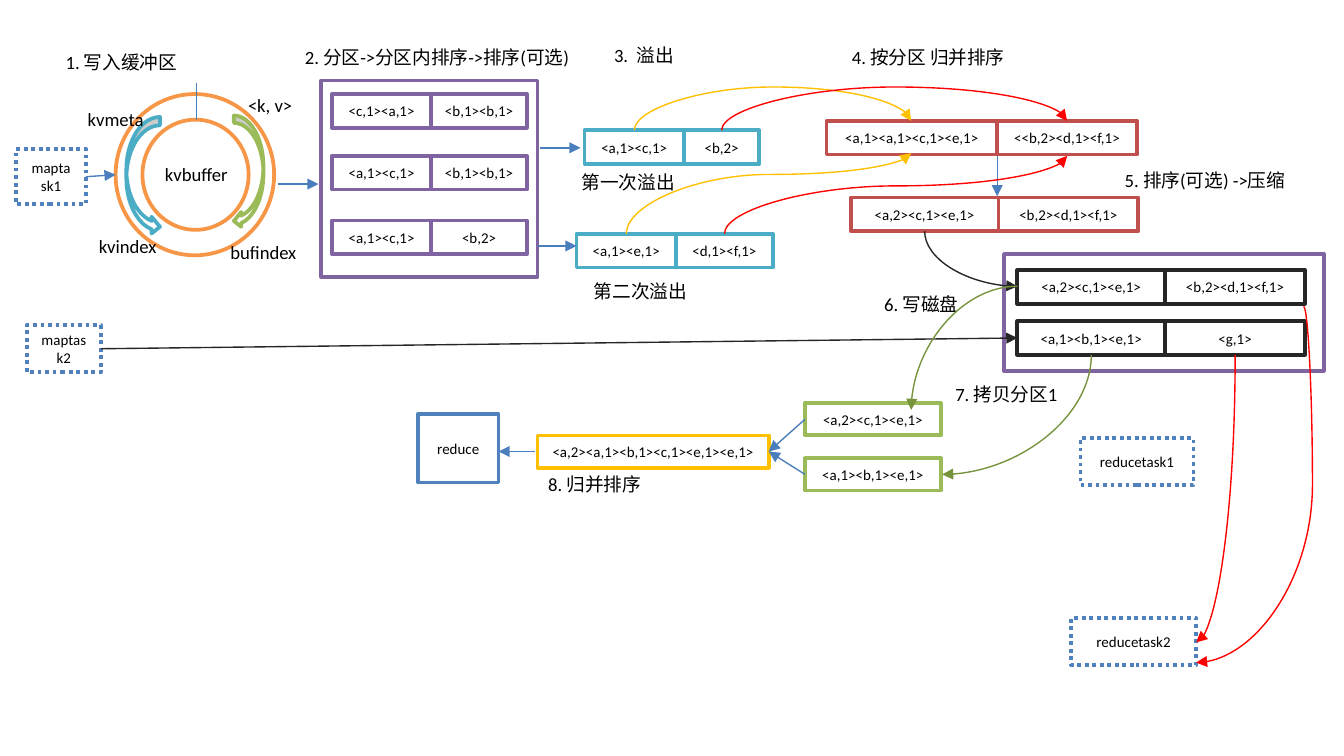
from lxml import etree
from pptx import Presentation
from pptx.dml.color import RGBColor
from pptx.enum.dml import MSO_LINE
from pptx.enum.shapes import MSO_CONNECTOR as CONNECTOR, MSO_SHAPE as SHAPE
from pptx.enum.text import MSO_ANCHOR, MSO_AUTO_SIZE, PP_ALIGN
from pptx.oxml.ns import qn
from pptx.util import Inches, Pt

BLACK, WHITE, DARK = "000000", "FFFFFF", "262626"
PURPLE, ORANGE, TEAL, OLIVE = "8064A2", "F79646", "4BACC6", "9BBB59"
BRICK, BLUE, GOLD, RED = "C0504D", "4F81BD", "FFC000", "FF0000"
ARROW_BLUE, ARROW_GREEN = "4B7EBC", "77933C"
SLIDE_WIDTH = 10
SLIDE_HEIGHT = SLIDE_WIDTH * 9 / 16
ROW_HEIGHT = 0.25

# Rows of touching cells: left, top, colour, [(text, width), ...]
ROWS = [
    (2.47, 0.70, PURPLE, [("<c,1><a,1>", 0.74), ("<b,1><b,1>", 0.71)]),
    (2.47, 1.16, PURPLE, [("<a,1><c,1>", 0.74), ("<b,1><b,1>", 0.71)]),
    (2.47, 1.64, PURPLE, [("<a,1><c,1>", 0.74), ("<b,2>", 0.71)]),
    (4.35, 0.97, TEAL, [("<a,1><c,1>", 0.74), ("<b,2>", 0.56)]),
    (4.29, 1.74, TEAL, [("<a,1><e,1>", 0.74), ("<d,1><f,1>", 0.72)]),
    (6.15, 0.90, BRICK, [("<a,1><a,1><c,1><e,1>", 1.27), ("<<b,2><d,1><f,1>", 1.04)]),
    (6.33, 1.47, BRICK, [("<a,2><c,1><e,1>", 1.10), ("<b,2><d,1><f,1>", 1.04)]),
    (7.57, 2.01, DARK, [("<a,2><c,1><e,1>", 1.10), ("<b,2><d,1><f,1>", 1.04)]),
]

# Single boxes: name -> (text, left, top, width, height, colour, dotted)
BOXES = {
    "partitions": ("", 2.39, 0.60, 1.61, 1.46, PURPLE, False),
    "disk": ("", 7.47, 1.89, 2.38, 0.87, PURPLE, False),
    "disk file 2": ("<a,1><b,1><e,1>", 7.57, 2.39, 1.10, 0.25, DARK, False),
    "disk file 2b": ("<g,1>", 8.67, 2.39, 1.04, 0.25, DARK, False),
    "copy 1": ("<a,2><c,1><e,1>", 5.99, 3.00, 1.01, 0.24, OLIVE, False),
    "copy 2": ("<a,1><b,1><e,1>", 5.99, 3.41, 1.01, 0.24, OLIVE, False),
    "merged": ("<a,2><a,1><b,1><c,1><e,1><e,1>", 4.00, 3.24, 1.72, 0.24, GOLD, False),
    "reduce": ("reduce", 3.11, 3.08, 0.60, 0.51, BLUE, False),
    "maptask1": ("maptask1", 0.12, 1.11, 0.52, 0.41, BLUE, True),
    "maptask2": ("maptask2", 0.20, 2.42, 0.55, 0.35, BLUE, True),
    "reducetask1": ("reducetask1", 8.04, 3.26, 0.84, 0.35, BLUE, True),
    "reducetask2": ("reducetask2", 7.97, 4.60, 0.93, 0.35, BLUE, True),
}

# Ring buffer: preset, left, top, width, height, line, fill
BUFFER = [
    (SHAPE.OVAL, 0.86, 0.70, 1.18, 1.20, ORANGE, None),
    (SHAPE.OVAL, 1.06, 0.89, 0.79, 0.82, ORANGE, None),
    (SHAPE.CURVED_RIGHT_ARROW, 0.94, 0.87, 0.25, 0.88, TEAL, WHITE),
    (SHAPE.CURVED_LEFT_ARROW, 1.74, 0.86, 0.22, 0.84, OLIVE, WHITE),
]

# Labels: text, left, top, width
STEPS = [
    ("1. 写入缓冲区", 0.39, 0.33, 1.59),
    ("2. 分区->分区内排序->排序(可选)", 2.17, 0.29, 2.20),
    ("3.  溢出", 4.47, 0.28, 1.18),
    ("4. 按分区 归并排序", 6.24, 0.29, 1.53),
    ("5. 排序(可选) ->压缩", 8.27, 1.21, 1.65),
    ("6. 写磁盘", 6.48, 2.13, 0.98),
    ("7. 拷贝分区1", 7.01, 2.80, 1.43),
    ("8. 归并排序", 3.98, 3.47, 1.65),
    ("第一次溢出", 4.23, 1.22, 1.09),
    ("第二次溢出", 4.32, 2.03, 1.09),
]
BUFFER_LABELS = [
    ("kvbuffer", 1.12, 1.16, 0.68),
    ("bufindex", 1.61, 1.74, 0.70),
    ("kvindex", 0.63, 1.70, 0.64),
    ("kvmeta", 0.55, 0.75, 0.62),
    ("<k, v>", 1.74, 0.65, 0.54),
]

# Straight lines; an end is a point or a (box name, side) pair
LINES = [
    (("maptask1", 3), (0.86, 1.30), ARROW_BLUE, True),
    ((2.07, 1.37), (2.37, 1.37), ARROW_BLUE, True),
    ((4.02, 1.10), (4.32, 1.10), ARROW_BLUE, True),
    ((4.00, 1.83), (4.29, 1.83), ARROW_BLUE, True),
    ((1.46, 0.89), (1.46, 0.62), ARROW_BLUE, False),
    ((7.42, 1.16), (7.42, 1.46), ARROW_BLUE, True),
    (("copy 1", 1), ("merged", 3), ARROW_BLUE, True),
    (("copy 2", 1), ("merged", 3), ARROW_BLUE, True),
    ((3.98, 3.36), (3.71, 3.36), ARROW_BLUE, True),
    (("maptask2", 3), ("disk file 2", 1), DARK, True),
]

# Curves: start, end, colour, leaves vertically, bend (None for a quarter turn)
CURVES = [
    ((4.66, 1.74), (6.78, 1.14), GOLD, True, 0.736),
    ((4.72, 0.97), (6.78, 0.90), GOLD, True, 4.6),
    ((5.37, 0.97), (7.94, 0.90), RED, True, 4.6),
    ((5.39, 1.74), (7.94, 1.16), RED, True, 0.615),
    ((6.88, 1.72), (7.57, 2.13), DARK, True, None),
    ((7.57, 2.13), (6.78, 3.05), ARROW_GREEN, False, None),
    ((8.12, 2.64), (7.01, 3.53), ARROW_GREEN, True, None),
    ((9.70, 2.28), (8.90, 4.93), RED, False, -0.083),
    ((9.19, 2.64), (8.90, 4.78), RED, True, None),
]


def color(hex_value):
    return RGBColor.from_string(hex_value)


def write(shape, text, size, align):
    paragraph = shape.text_frame.paragraphs[0]
    paragraph.text = text
    paragraph.alignment = align
    paragraph.font.size = Pt(size)
    paragraph.font.name = "Calibri"
    paragraph.font.color.rgb = color(BLACK)


def add_outline(slide, preset, left, top, width, height, line, fill=None):
    shape = slide.shapes.add_shape(preset, *map(Inches, (left, top, width, height)))
    shape.shadow.inherit = False
    if fill:
        shape.fill.solid()
        shape.fill.fore_color.rgb = color(fill)
    else:
        shape.fill.background()
    shape.line.color.rgb = color(line)
    shape.line.width = Pt(2)
    return shape


def add_box(slide, text, left, top, width, height, line, dotted=False):
    box = add_outline(slide, SHAPE.RECTANGLE, left, top, width, height, line)
    if dotted:
        box.line.dash_style = MSO_LINE.ROUND_DOT
    if text:
        box.text_frame.vertical_anchor = MSO_ANCHOR.MIDDLE
        write(box, text, 8, PP_ALIGN.CENTER)
    return box


def add_label(slide, text, left, top, width, wrap, align):
    label = slide.shapes.add_textbox(*map(Inches, (left, top, width, 0.27)))
    label.text_frame.word_wrap = wrap
    label.text_frame.auto_size = MSO_AUTO_SIZE.SHAPE_TO_FIT_TEXT
    write(label, text, 10, align)


def add_line(slide, kind, start, end, line, arrow=True):
    connector = slide.shapes.add_connector(kind, *map(Inches, (*start, *end)))
    connector.line.color.rgb = color(line)
    connector.line.width = Pt(0.75)
    properties = connector._element.spPr
    if arrow:
        etree.SubElement(properties.find(qn("a:ln")), qn("a:tailEnd"), type="triangle")
    etree.SubElement(properties, qn("a:effectLst"))
    return connector


def add_straight(slide, boxes, start, end, line, arrow):
    points = [(0, 0) if point[0] in boxes else point for point in (start, end)]
    connector = add_line(slide, CONNECTOR.STRAIGHT, *points, line, arrow)
    if start[0] in boxes:
        connector.begin_connect(boxes[start[0]], start[1])
    if end[0] in boxes:
        connector.end_connect(boxes[end[0]], end[1])


def add_curve(slide, start, end, line, vertical, bend):
    if vertical:
        # Lay the curve out on its side, then turn it a quarter about its centre
        (x1, y1), (x2, y2) = start, end
        middle_x, middle_y = (x1 + x2) / 2, (y1 + y2) / 2
        half_x, half_y = (x2 - x1) / 2, (y2 - y1) / 2
        start = (middle_x - half_y, middle_y + half_x)
        end = (middle_x + half_y, middle_y - half_x)
    properties = add_line(slide, CONNECTOR.CURVE, start, end, line)._element.spPr
    if vertical:
        properties.find(qn("a:xfrm")).set("rot", "5400000")
    geometry = properties.find(qn("a:prstGeom"))
    if bend is None:
        geometry.set("prst", "curvedConnector2")
    else:
        guides = geometry.find(qn("a:avLst"))
        etree.SubElement(guides, qn("a:gd"), name="adj1", fmla=f"val {round(bend * 100000)}")


def main():
    presentation = Presentation()
    presentation.slide_width = Inches(SLIDE_WIDTH)
    presentation.slide_height = Inches(SLIDE_HEIGHT)
    slide = presentation.slides.add_slide(presentation.slide_layouts[6])

    # Boxes and rows of cells
    boxes = {name: add_box(slide, *box) for name, box in BOXES.items()}
    for left, top, line, cells in ROWS:
        for text, width in cells:
            add_box(slide, text, left, top, width, ROW_HEIGHT, line)
            left += width

    # Ring buffer
    for part in BUFFER:
        add_outline(slide, *part)

    # Labels
    for label in STEPS:
        add_label(slide, *label, True, PP_ALIGN.LEFT)
    for label in BUFFER_LABELS:
        add_label(slide, *label, False, PP_ALIGN.CENTER)

    # Lines and curves
    for line in LINES:
        add_straight(slide, boxes, *line)
    for curve in CURVES:
        add_curve(slide, *curve)

    presentation.save("out.pptx")


if __name__ == "__main__":
    main()
